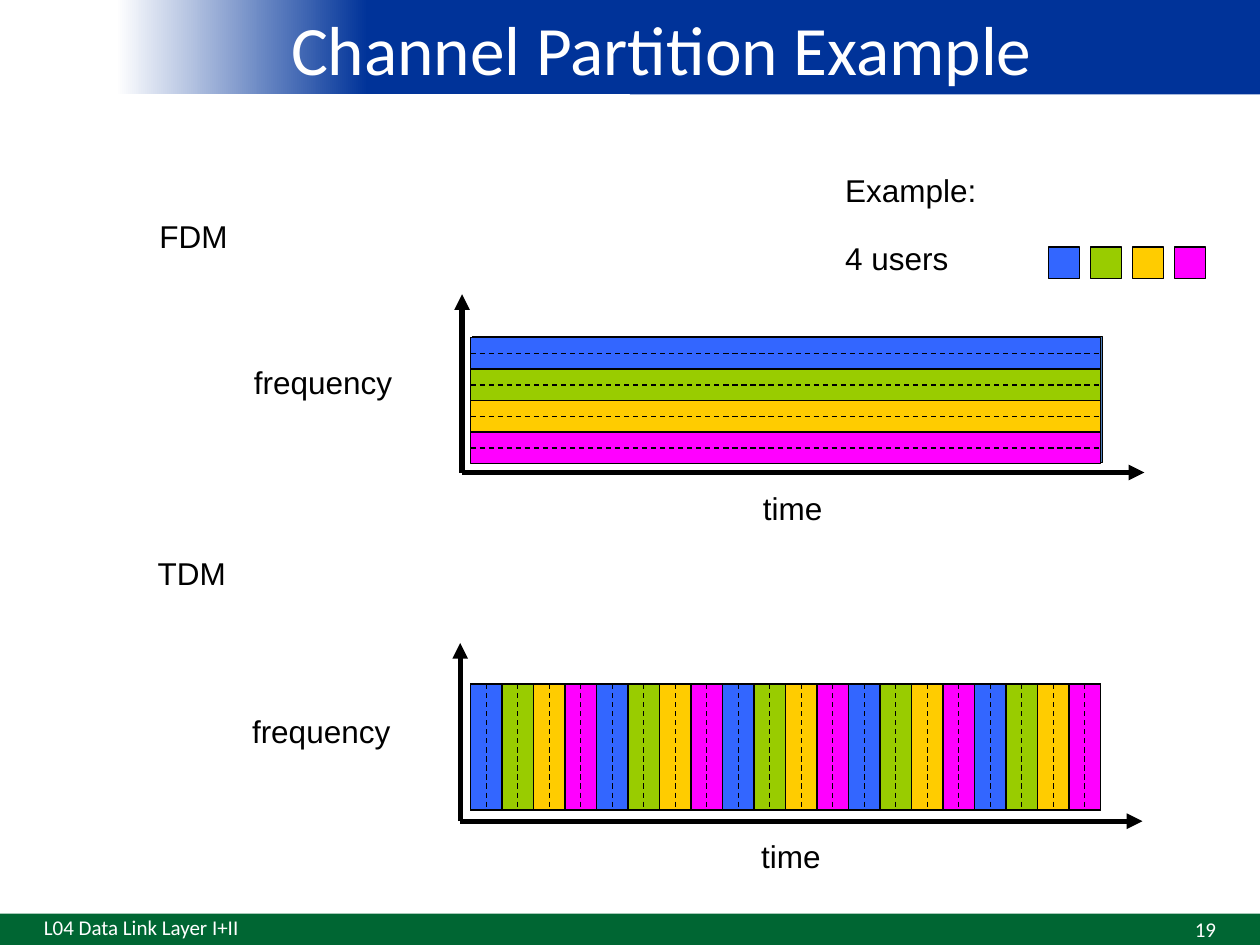
from lxml.etree import SubElement
from pptx import Presentation
from pptx.dml.color import RGBColor
from pptx.enum.dml import MSO_LINE
from pptx.enum.shapes import MSO_CONNECTOR, MSO_SHAPE
from pptx.enum.text import MSO_ANCHOR, MSO_AUTO_SIZE, PP_ALIGN
from pptx.oxml.ns import qn
from pptx.util import Inches, Pt

USERS = ["3366FF", "99CC00", "FFCC00", "FF00FF"]
BLACK, WHITE, NAVY, GREEN, STEEL = "000000", "FFFFFF", "003399", "006633", "4F81BD"
COLS, ROWS = 40, 30
WIDE, HIGH = 20, 4  # size of a channel in grid cells


def tint(code):
    return RGBColor.from_string(code)


def grid(*cells):
    """Turn counts of quarter-inch grid cells into lengths."""
    return [Inches(n / 4) for n in cells]


class Sheet:
    def __init__(self, slide):
        self.shapes = slide.shapes

    def rect(self, x, y, w, h, fill, edge=None):
        box = self.shapes.add_shape(MSO_SHAPE.RECTANGLE, *grid(x, y, w, h))
        box.shadow.inherit = False
        box.fill.solid()
        box.fill.fore_color.rgb = tint(fill)
        if edge:
            box.line.color.rgb = tint(edge)
            box.line.width = Pt(0.75)
        else:
            box.line.fill.background()
        return box

    def fade(self, x, y, w, h, stops):
        """Draw a band whose colour runs from right to left."""
        fill = self.rect(x, y, w, h, WHITE).fill
        fill.gradient()
        fill.gradient_angle = 180
        for stop, (place, code) in zip(fill.gradient_stops, stops):
            stop.position = place
            stop.color.rgb = tint(code)

    def line(self, x1, y1, x2, y2, width=0.75, dash=False, arrow=False):
        link = self.shapes.add_connector(
            MSO_CONNECTOR.STRAIGHT, *grid(x1, y1, x2, y2))
        link.line.color.rgb = tint(BLACK)
        link.line.width = Pt(width)
        if dash:
            link.line.dash_style = MSO_LINE.DASH
        if arrow:
            SubElement(link.line._get_or_add_ln(), qn("a:tailEnd"), type="triangle")
        SubElement(link._element.spPr, qn("a:effectLst"))

    def text(self, x, y, w, h, words, size, font, code, align=PP_ALIGN.LEFT):
        frame = self.shapes.add_textbox(*grid(x, y, w, h)).text_frame
        frame.word_wrap = True
        frame.vertical_anchor = MSO_ANCHOR.MIDDLE
        para = frame.paragraphs[0]
        para.alignment = align
        run = para.add_run()
        run.text = words
        run.font.size = Pt(size)
        run.font.name = font
        run.font.color.rgb = tint(code)
        return frame

    def label(self, x, y, w, words):
        frame = self.text(x, y, w, 2, words, 18, "Arial", BLACK)
        frame.word_wrap = False
        frame.vertical_anchor = MSO_ANCHOR.TOP
        frame.auto_size = MSO_AUTO_SIZE.SHAPE_TO_FIT_TEXT

    def axes(self, x, y, name, rise):
        """Draw both axes from their origin; the name sits rise rows above it."""
        self.label(x - 10, y - rise, 3.68, name)
        self.line(x, y, x, y - 5.66, 3, arrow=True)
        self.label(x - 7, y - 3.66, 6.68, "frequency")
        self.line(x, y, x + 21.66, y, 3, arrow=True)
        self.label(x + 9.16, y + 0.32, 3.32, "time")

    def bands(self, x, y):
        """Split the channel by frequency, one row per user."""
        for i, code in enumerate(USERS):
            self.rect(x, y + i, WIDE, 1, code, BLACK)
        for i in range(1, HIGH):
            self.line(x, y + i, x + WIDE, y + i)
        for i in range(HIGH):
            self.line(x, y + i + 0.5, x + WIDE, y + i + 0.5, dash=True)

    def slots(self, x, y):
        """Split the channel by time, the users taking turns."""
        for i in range(WIDE):
            self.rect(x + i, y, 1, HIGH, USERS[i % len(USERS)], BLACK)
        for i in range(1, WIDE):
            self.line(x + i, y, x + i, y + HIGH)
        for i in range(WIDE):
            self.line(x + i + 0.5, y, x + i + 0.5, y + HIGH, dash=True)

    def frame(self, title, foot, page):
        self.rect(COLS / 2, 0, COLS / 2, 3, NAVY)
        self.fade(3, 0, 17, 3, [(0.49, NAVY), (0.96, WHITE)])
        self.rect(0, ROWS - 1, COLS, 1, GREEN)
        self.text(3, 0, 36, 3, title, 39.6, "Calibri", WHITE, PP_ALIGN.CENTER)
        self.text(1, 28.84, 10.12, 1.16, foot, 12, "Calibri", WHITE)
        self.text(29.68, 29, 9.32, 1, page, 12, "Calibri", WHITE, PP_ALIGN.RIGHT)

    def legend(self, x, y):
        self.label(x, y + 2.16, 5.2, "4 users")
        for i, code in enumerate(USERS):
            self.rect(x + 6.84 + i * 4 / 3, y + 2.6, 1, 1, code, BLACK)
        self.label(x, y, 6.36, "Example:")


def main():
    deck = Presentation()
    deck.slide_width, deck.slide_height = grid(COLS, ROWS)
    sheet = Sheet(deck.slides.add_slide(deck.slide_layouts[6]))
    sheet.frame("Channel Partition Example", "L04 Data Link Layer I+II", "19")

    left, top, low = 14.94, 10.72, 21.72
    sheet.axes(14.67, 15, "FDM", 8.32)
    sheet.rect(15, 10.68, WIDE, HIGH, STEEL, BLACK)
    sheet.bands(left, top)

    sheet.axes(14.61, 26.07, "TDM", 8.67)
    sheet.rect(left, low, WIDE, HIGH, STEEL, BLACK)
    sheet.slots(left, low)

    sheet.legend(26.44, 5.24)
    deck.save("out.pptx")


if __name__ == "__main__":
    main()
